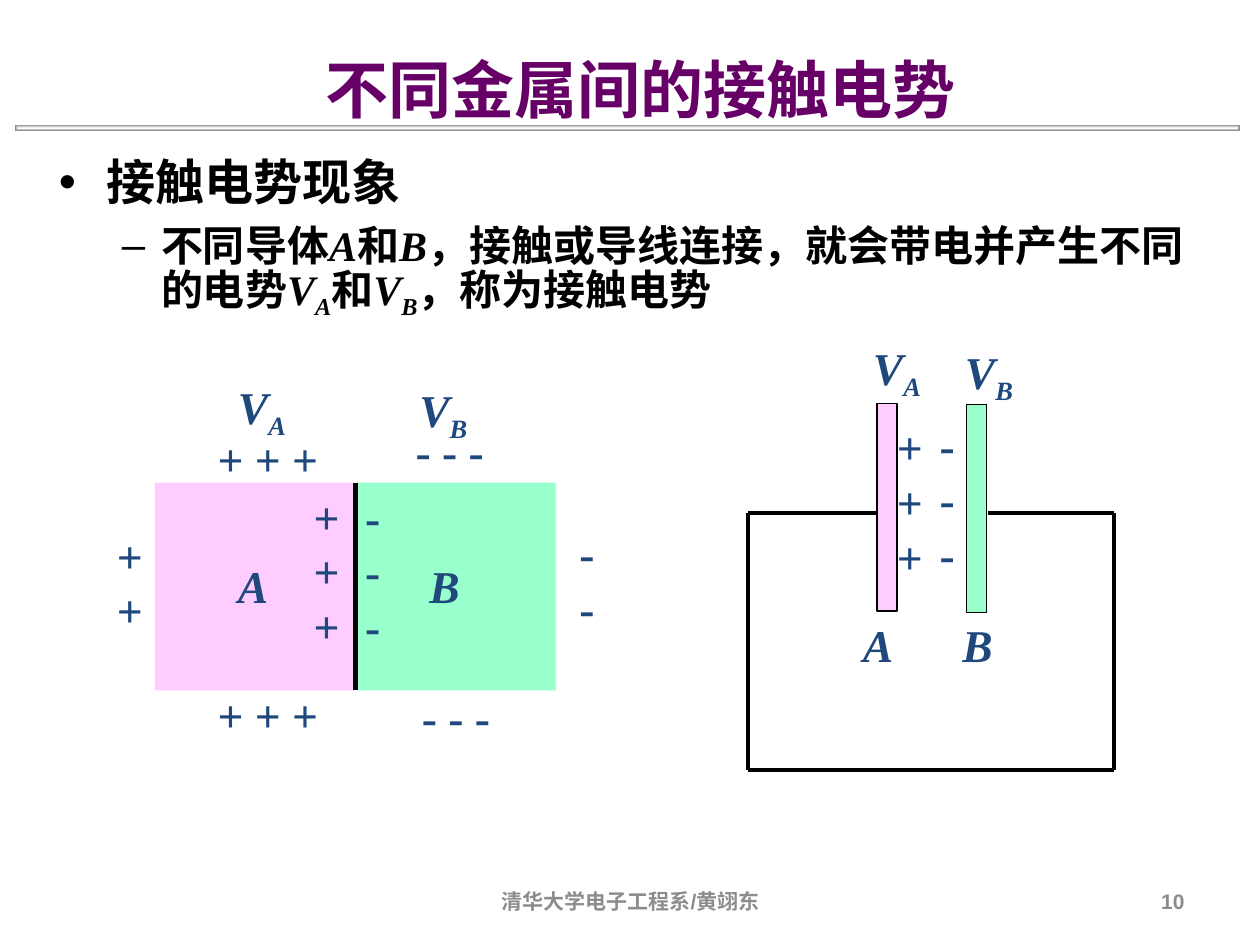
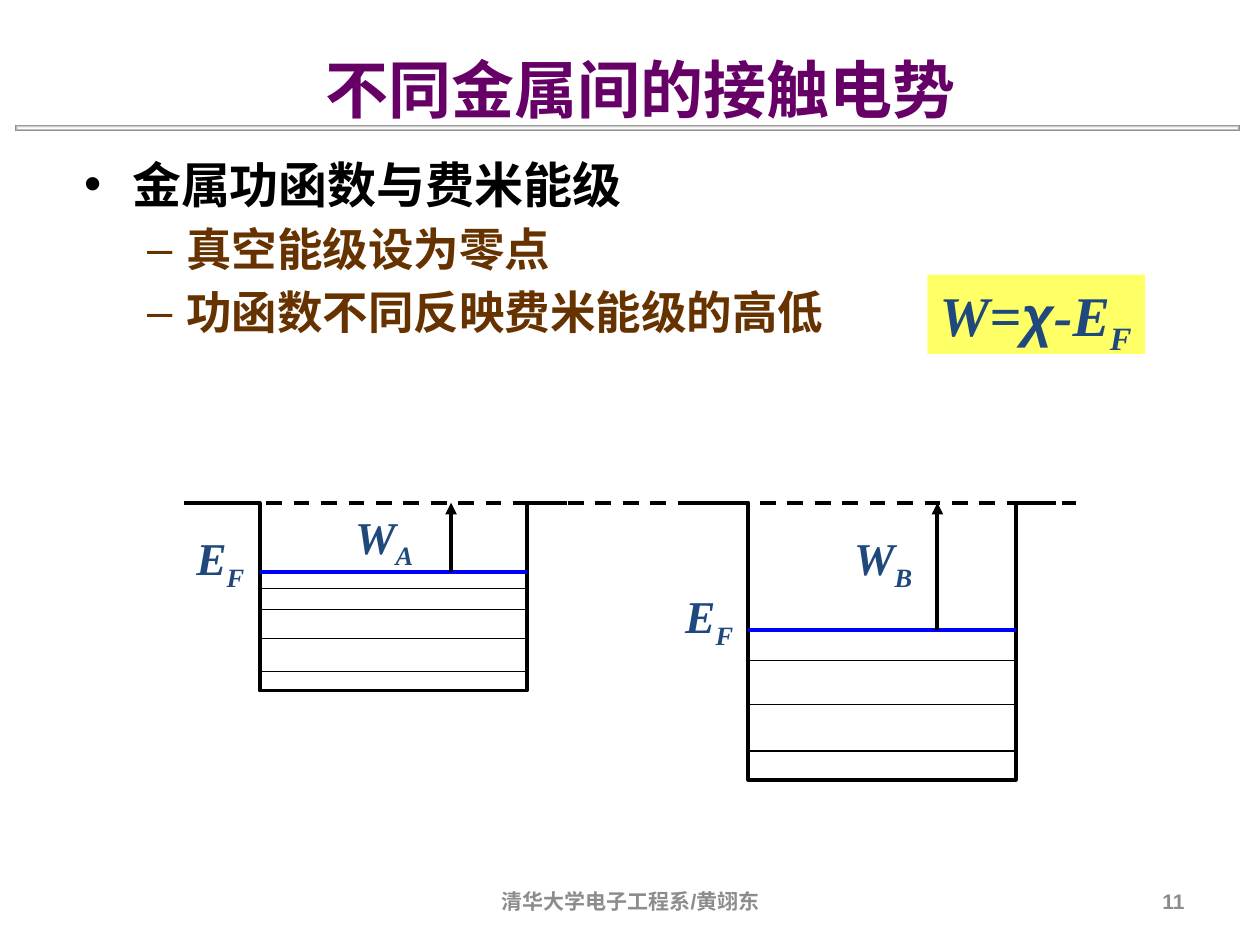
from lxml import etree
from pptx import Presentation
from pptx.dml.color import RGBColor
from pptx.enum.dml import MSO_LINE
from pptx.enum.shapes import MSO_CONNECTOR, MSO_SHAPE
from pptx.enum.text import MSO_ANCHOR, MSO_AUTO_SIZE, PP_ALIGN
from pptx.oxml.ns import qn
from pptx.util import Inches, Pt

RECTANGLE = MSO_SHAPE.RECTANGLE
STRAIGHT = MSO_CONNECTOR.STRAIGHT
DASH = MSO_LINE.DASH
MIDDLE = MSO_ANCHOR.MIDDLE
LEFT, CENTER, RIGHT = PP_ALIGN.LEFT, PP_ALIGN.CENTER, PP_ALIGN.RIGHT

BLACK = RGBColor(0x00, 0x00, 0x00)
WHITE = RGBColor(0xFF, 0xFF, 0xFF)
GRAY = RGBColor(0x80, 0x80, 0x80)
FOOTER_GRAY = RGBColor(0x8C, 0x8C, 0x8C)
PURPLE = RGBColor(0x66, 0x00, 0x66)
BROWN = RGBColor(0x66, 0x33, 0x00)
NAVY = RGBColor(0x1F, 0x49, 0x7D)
BLUE = RGBColor(0x00, 0x00, 0xFF)
PINK = RGBColor(0xFF, 0xCC, 0xFF)
MINT = RGBColor(0x99, 0xFF, 0xCC)
YELLOW = RGBColor(0xFF, 0xFF, 0x66)

SERIF, SANS, CHINESE = "Times New Roman", "Arial", "Noto Sans CJK SC"
TITLE = "不同金属间的接触电势"
FOOTER = "清华大学电子工程系/黄翊东"
ITALIC, SUBSCRIPT = "italic", "subscript"

PLATE_HEIGHT = 1.65
VACUUM = 3.99
WELL_LEAD, WELL_WIDTH, WELL_TAIL = 0.47, 2.12, 0.32


def format_run(run, size, color, font=SERIF, style=None):
    run.font.size = Pt(size)
    run.font.bold = True
    run.font.italic = style in (ITALIC, SUBSCRIPT)
    run.font.color.rgb = color
    run.font.name = font
    properties = run.font._element
    properties.find(qn("a:latin")).addnext(
        properties.makeelement(qn("a:ea"), {"typeface": CHINESE}))
    if style == SUBSCRIPT:
        properties.set("baseline", "-25000")


def add_runs(paragraph, pieces, size, color):
    """Add pieces, each a plain string or a (text, style[, font]) tuple."""
    for piece in pieces:
        text, style, font = (piece if isinstance(piece, tuple) else (piece,)) + (None, SERIF) \
            if not isinstance(piece, tuple) else (piece + (SERIF,))[:3]
        run = paragraph.add_run()
        run.text = text
        format_run(run, size, color, font, style)


def add_text_box(slide, left, top, width, height, wrap=True):
    box = slide.shapes.add_textbox(Inches(left), Inches(top), Inches(width), Inches(height))
    box.text_frame.word_wrap = wrap
    return box


def add_title(slide):
    title = slide.shapes.title
    title.left, title.top = Inches(2.48), Inches(0.08)
    title.width, title.height = Inches(7.18), Inches(1.25)
    frame = title.text_frame
    frame.text = TITLE
    frame.auto_size = MSO_AUTO_SIZE.NONE
    frame.vertical_anchor = MIDDLE
    frame.paragraphs[0].alignment = LEFT
    format_run(frame.paragraphs[0].runs[0], 36, PURPLE)


def add_title_band(slide):
    band = add_rectangle(slide, 0.12, 0.99, 9.72, 0.05)
    band.fill.gradient()
    for stop, color in zip(band.fill.gradient_stops, (WHITE, GRAY)):
        stop.color.rgb = color
    gradient = band._element.spPr.find(qn("a:gradFill"))
    gradient.remove(gradient.find(qn("a:lin")))
    path = etree.SubElement(gradient, qn("a:path"), {"path": "shape"})
    etree.SubElement(path, qn("a:fillToRect"), dict.fromkeys("ltrb", "50000"))


def add_footer_text(slide, left, width, text, alignment):
    frame = add_text_box(slide, left, 6.95, width, 0.4).text_frame
    frame.vertical_anchor = MIDDLE
    frame.text = text
    frame.paragraphs[0].alignment = alignment
    format_run(frame.paragraphs[0].runs[0], 12, FOOTER_GRAY, SANS)


def add_base_slide(presentation, number):
    slide = presentation.slides.add_slide(presentation.slide_layouts[5])
    add_title(slide)
    add_title_band(slide)
    add_footer_text(slide, 3.42, 3.17, FOOTER, CENTER)
    add_footer_text(slide, 7.17, 2.33, str(number), RIGHT)
    return slide


def add_bullets(slide, left, top, width, height, items):
    """Fill a text box with (level, size, color, pieces) items."""
    frame = add_text_box(slide, left, top, width, height).text_frame
    for index, (level, size, color, pieces) in enumerate(items):
        paragraph = frame.add_paragraph() if index else frame.paragraphs[0]
        add_runs(paragraph, pieces, size, color)
        paragraph.level = level
        paragraph.space_before = Pt(5 if index else 0)
        paragraph.line_spacing = Pt(round(size * 1.21))
        margin, indent, bullet = ((0.38, -0.38, "•"), (0.81, -0.31, "–"))[level]
        properties = paragraph._p.get_or_add_pPr()
        properties.set("marL", str(Inches(margin)))
        properties.set("indent", str(Inches(indent)))
        etree.SubElement(properties, qn("a:buFont"), {"typeface": SANS})
        etree.SubElement(properties, qn("a:buChar"), {"char": bullet})


def add_label(slide, left, top, width, lines, size=26, height=None):
    """Add an unwrapped label; each line is a list of pieces."""
    height = height or 0.1 + 0.43 * len(lines)
    box = add_text_box(slide, left, top, width, height, wrap=False)
    frame = box.text_frame
    frame.auto_size = MSO_AUTO_SIZE.SHAPE_TO_FIT_TEXT
    for index, pieces in enumerate(lines):
        paragraph = frame.add_paragraph() if index else frame.paragraphs[0]
        add_runs(paragraph, pieces, size, NAVY)
    return box


def add_symbol(slide, left, top, letter, subscript=None, width=0.6):
    pieces = [(letter, ITALIC)]
    if subscript:
        pieces.append((subscript, SUBSCRIPT))
    add_label(slide, left, top, width, [pieces])


def add_charge_column(slide, left, top, sign, count):
    add_label(slide, left, top, 0.41 if sign == "+" else 0.32, [[sign]] * count)


def add_charge_row(slide, left, top, sign):
    add_label(slide, left, top, 1 if sign == "+" else 0.74, [[" ".join(sign * 3)]])


def add_rectangle(slide, left, top, width, height, color=None, outlined=False):
    shape = slide.shapes.add_shape(
        RECTANGLE, Inches(left), Inches(top), Inches(width), Inches(height))
    shape.shadow.inherit = False
    if color is not None:
        shape.fill.solid()
        shape.fill.fore_color.rgb = color
    if outlined:
        shape.line.color.rgb = BLACK
        shape.line.width = Pt(0.75)
    else:
        shape.line.fill.background()
    return shape


def add_line(slide, start, end, width=2.25, color=BLACK, dashed=False, arrow=False):
    connector = slide.shapes.add_connector(STRAIGHT, *map(Inches, start + end))
    connector.line.color.rgb = color
    connector.line.width = Pt(width)
    if dashed:
        connector.line.dash_style = DASH
    if arrow:
        etree.SubElement(connector.line._get_or_add_ln(), qn("a:tailEnd"), {"type": "triangle"})
    etree.SubElement(connector._element.spPr, qn("a:effectLst"))


def add_touching_metals(slide):
    top = 3.83
    add_rectangle(slide, 1.23, top, 1.58, PLATE_HEIGHT, PINK)
    add_rectangle(slide, 2.83, top, 1.58, PLATE_HEIGHT, MINT)
    add_line(slide, (2.82, top), (2.82, top + PLATE_HEIGHT), width=3)
    add_symbol(slide, 1.79, 4.38, "A", width=0.44)
    add_symbol(slide, 3.31, 4.38, "B", width=0.44)
    add_symbol(slide, 1.79, 2.96, "V", "A")
    add_symbol(slide, 3.23, 2.98, "V", "B")
    for left, row_top, sign in ((1.63, 3.37, "+"), (1.63, 5.4, "+"),
                                (3.2, 3.31, "-"), (3.25, 5.42, "-")):
        add_charge_row(slide, left, row_top, sign)
    add_charge_column(slide, 0.83, 4.14, "+", 2)
    add_charge_column(slide, 4.5, 4.12, "-", 2)
    add_charge_column(slide, 2.39, top, "+", 3)
    add_charge_column(slide, 2.8, top, "-", 3)


def add_wired_plates(slide):
    add_rectangle(slide, 6.96, 3.2, 0.16, PLATE_HEIGHT, PINK, outlined=True)
    add_rectangle(slide, 7.67, 3.21, 0.16, PLATE_HEIGHT, MINT, outlined=True)
    add_charge_column(slide, 7.02, 3.28, "+", 3)
    add_charge_column(slide, 7.36, 3.26, "-", 3)
    add_symbol(slide, 6.75, 4.85, "A", width=0.44)
    add_symbol(slide, 7.54, 4.85, "B", width=0.44)
    add_symbol(slide, 6.83, 2.65, "V", "A")
    add_symbol(slide, 7.56, 2.68, "V", "B")
    wire = [(6.96, 4.07), (5.94, 4.07), (5.94, 6.11), (8.84, 6.11), (8.84, 4.07), (7.84, 4.07)]
    for start, end in zip(wire, wire[1:]):
        add_line(slide, start, end)


def add_energy_well(slide, left, bottom, fermi, levels, metal, label, arrow):
    """Draw a potential well with its filled levels, Fermi level and work function."""
    wall_left = left + WELL_LEAD
    wall_right = wall_left + WELL_WIDTH
    outline = [(left, VACUUM), (wall_left, VACUUM), (wall_left, bottom),
               (wall_right, bottom), (wall_right, VACUUM), (wall_right + WELL_TAIL, VACUUM)]
    points = [(Inches(x), Inches(y)) for x, y in outline]
    builder = slide.shapes.build_freeform(*points[0])
    builder.add_line_segments(points[1:], close=False)
    well = builder.convert_to_shape()
    well.shadow.inherit = False
    well.fill.background()
    well.line.color.rgb = BLACK
    well.line.width = Pt(2.25)
    for level in levels:
        add_line(slide, (wall_left, level), (wall_right, level), width=0.75)
    add_line(slide, (wall_left, fermi), (wall_right, fermi), color=BLUE)
    add_symbol(slide, left - 0.13, fermi - 0.38, "E", "F")
    add_symbol(slide, *label, "W", metal, width=0.68)
    add_line(slide, (arrow, fermi), (arrow, VACUUM), arrow=True)


def add_contact_slide(presentation):
    slide = add_base_slide(presentation, 10)
    definition = ["不同导体", ("A", ITALIC), "和", ("B", ITALIC),
                  "，接触或导线连接，就会带电并产生不同的电势",
                  ("V", ITALIC), ("A", SUBSCRIPT), "和", ("V", ITALIC), ("B", SUBSCRIPT),
                  "，称为接触电势"]
    add_bullets(slide, 0.37, 1.15, 9.2, 1.5, [
        (0, 28, BLACK, ["接触电势现象"]),
        (1, 24, BLACK, definition)])
    add_touching_metals(slide)
    add_wired_plates(slide)


def add_fermi_slide(presentation):
    slide = add_base_slide(presentation, 11)
    add_bullets(slide, 0.57, 1.17, 6.85, 1.97, [
        (0, 28, BLACK, ["金属功函数与费米能级"]),
        (1, 26, BROWN, ["真空能级设为零点"]),
        (1, 26, BROWN, ["功函数不同反映费米能级的高低"])])
    add_energy_well(slide, 1.59, 5.48, 4.54, (4.67, 4.84, 5.07, 5.33), "A", (2.72, 3.99), 3.58)
    add_energy_well(slide, 5.47, 6.19, 5, (5.24, 5.59, 5.96), "B", (6.68, 4.16), 7.44)
    add_line(slide, (1.46, VACUUM), (8.54, VACUUM), dashed=True)
    formula = [("W=", ITALIC), ("χ", ITALIC, SANS), ("-E", ITALIC), ("F", SUBSCRIPT)]
    box = add_label(slide, 7.36, 2.18, 1.73, [formula], size=32, height=0.63)
    box.fill.solid()
    box.fill.fore_color.rgb = YELLOW


def main():
    presentation = Presentation()
    presentation.slide_width, presentation.slide_height = Inches(10), Inches(7.5)
    add_contact_slide(presentation)
    add_fermi_slide(presentation)
    presentation.save("out.pptx")


if __name__ == "__main__":
    main()
